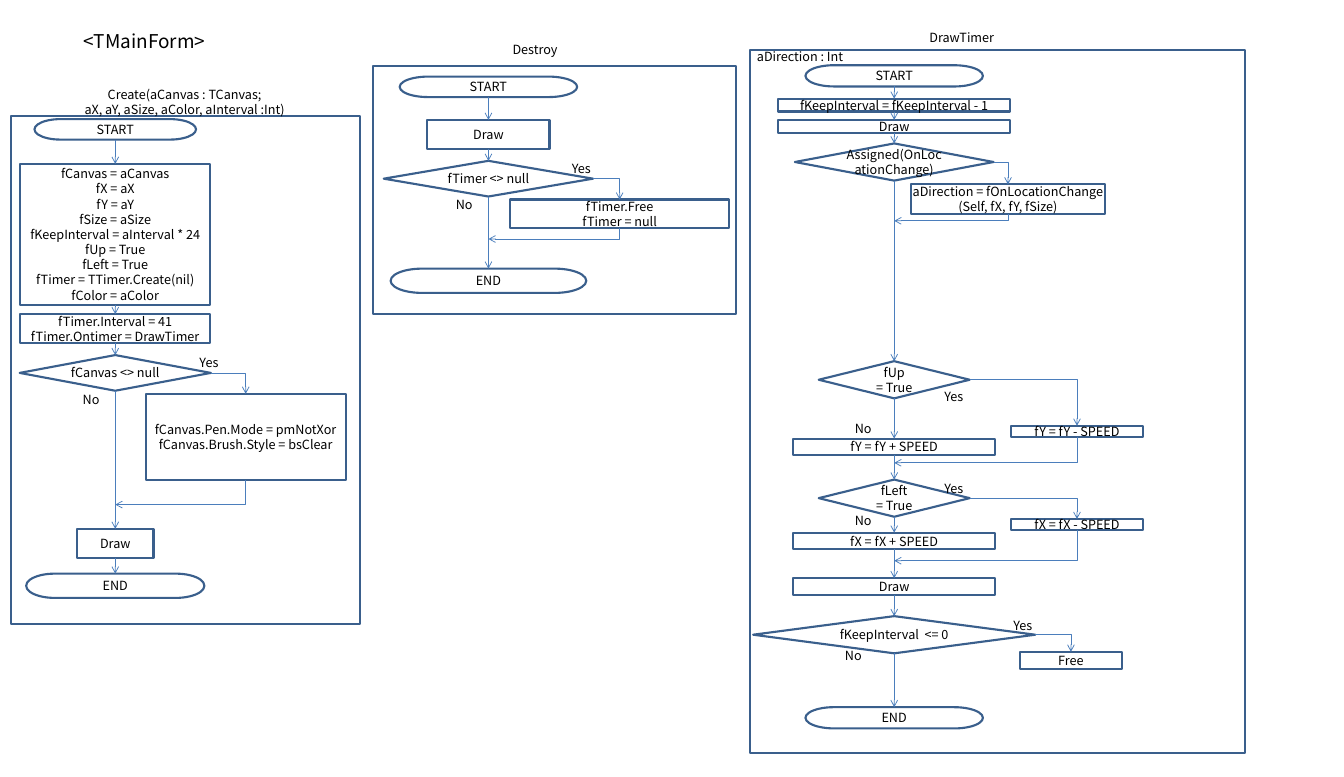
from dataclasses import dataclass
from itertools import pairwise

from lxml import etree
from pptx import Presentation
from pptx.dml.color import RGBColor
from pptx.enum.shapes import MSO_CONNECTOR, MSO_SHAPE
from pptx.enum.text import MSO_ANCHOR, PP_ALIGN
from pptx.oxml.ns import qn
from pptx.util import Inches, Pt

STRAIGHT, ELBOW = MSO_CONNECTOR.STRAIGHT, MSO_CONNECTOR.ELBOW
PROCESS = MSO_SHAPE.RECTANGLE
TERMINATOR = MSO_SHAPE.FLOWCHART_TERMINATOR
DECISION = MSO_SHAPE.FLOWCHART_DECISION
MIDDLE, TOP_ANCHOR = MSO_ANCHOR.MIDDLE, MSO_ANCHOR.TOP
CENTER, LEFT_ALIGN = PP_ALIGN.CENTER, PP_ALIGN.LEFT
TOP, BOTTOM, RIGHT = 0, 2, 3

FONT = "Noto Sans CJK KR"
OUTLINE, ARROW, INK = "3A5F8C", "4B7EBC", "000000"


def color(hex_string):
    return RGBColor.from_string(hex_string)


def write(shape, text, size=12, align=CENTER, anchor=MIDDLE):
    """Write each line of text as its own paragraph."""
    frame = shape.text_frame
    frame.word_wrap = True
    frame.vertical_anchor = anchor
    frame.margin_left = frame.margin_right = 0
    frame.margin_top = frame.margin_bottom = 0
    for index, line in enumerate(text.split("\n")):
        paragraph = frame.add_paragraph() if index else frame.paragraphs[0]
        paragraph.alignment = align
        run = paragraph.add_run()
        run.text = line
        run.font.name = FONT
        run.font.size = Pt(size)
        run.font.color.rgb = color(INK)


def add_text(slide, text, left, top, width, height, **style):
    box = slide.shapes.add_textbox(Inches(left), Inches(top), Inches(width), Inches(height))
    write(box, text, **style)


def add_outline(slide, kind, left, top, width, height):
    shape = slide.shapes.add_shape(kind, Inches(left), Inches(top), Inches(width), Inches(height))
    shape.shadow.inherit = False
    shape.fill.background()
    shape.line.color.rgb = color(OUTLINE)
    shape.line.width = Pt(2)
    return shape


def style_arrow(connector):
    connector.line.color.rgb = color(ARROW)
    connector.line.width = Pt(0.75)
    properties = connector.element.spPr
    etree.SubElement(properties.find(qn("a:ln")), qn("a:tailEnd"), type="arrow")
    etree.SubElement(properties, qn("a:effectLst"))


def add_elbow(slide):
    """Add an arrow with a single corner; its ends are set afterwards."""
    connector = slide.shapes.add_connector(ELBOW, 0, 0, 0, 0)
    connector.element.spPr.find(qn("a:prstGeom")).set("prst", "bentConnector2")
    style_arrow(connector)
    return connector


@dataclass
class Panel:
    """A framed flowchart; positions inside it count from its top left corner."""
    slide: object
    left: float
    top: float
    width: float
    height: float
    axis: float

    def draw_frame(self):
        add_outline(self.slide, PROCESS, self.left, self.top, self.width, self.height)

    def node(self, kind, text, top, width, height, center=None):
        center = self.axis if center is None else center
        shape = add_outline(self.slide, kind, self.left + center - width / 2,
                            self.top + top, width, height)
        write(shape, text)
        return shape

    def label(self, text, left, top, width=0.34, height=0.2):
        add_text(self.slide, text, self.left + left, self.top + top, width, height,
                 align=LEFT_ALIGN, anchor=TOP_ANCHOR)

    def chain(self, nodes):
        for upper, lower in pairwise(nodes):
            connector = self.slide.shapes.add_connector(STRAIGHT, 0, 0, 0, 0)
            connector.begin_connect(upper, BOTTOM)
            connector.end_connect(lower, TOP)
            style_arrow(connector)

    def branch(self, decision, step):
        connector = add_elbow(self.slide)
        connector.begin_connect(decision, RIGHT)
        connector.end_connect(step, TOP)

    def merge(self, step, level):
        """Lead from the bottom of a step down and left to the axis."""
        connector = add_elbow(self.slide)
        connector.begin_connect(step, BOTTOM)
        start_x, start_y = step.left + step.width // 2, step.top + step.height
        end_x, end_y = Inches(self.left + self.axis), Inches(self.top + level)
        across, down = start_x - end_x, end_y - start_y
        frame = connector.element.spPr.find(qn("a:xfrm"))
        for flip in ("flipH", "flipV"):
            frame.attrib.pop(flip, None)
        frame.set("rot", "5400000")
        connector.left = (start_x + end_x - down) // 2
        connector.top = (start_y + end_y - across) // 2
        connector.width, connector.height = down, across


def draw_create(slide, left, top):
    panel = Panel(slide, left, top, 4.6, 6.7, axis=1.37)
    panel.draw_frame()
    add_text(slide, "Create(aCanvas : TCanvas;\naX, aY, aSize, aColor, aInterval :Int)",
             left - 0.03, top - 0.37, 4.63, 0.37)
    start = panel.node(TERMINATOR, "START", 0.04, 2.13, 0.27)
    fields = panel.node(
        PROCESS,
        "fCanvas = aCanvas\nfX = aX\nfY = aY\nfSize = aSize\n"
        "fKeepInterval = aInterval * 24\nfUp = True\nfLeft = True\n"
        "fTimer = TTimer.Create(nil)\nfColor = aColor", 0.63, 2.51, 1.86)
    timer = panel.node(PROCESS, "fTimer.Interval = 41\nfTimer.Ontimer = DrawTimer",
                       2.61, 2.51, 0.38)
    has_canvas = panel.node(DECISION, "fCanvas <> null", 3.15, 2.52, 0.47)
    pen = panel.node(PROCESS, "fCanvas.Pen.Mode = pmNotXor\nfCanvas.Brush.Style = bsClear",
                     3.66, 2.64, 1.14, center=3.09)
    draw = panel.node(PROCESS, "Draw", 5.44, 1.01, 0.38)
    end = panel.node(TERMINATOR, "END", 6.03, 2.35, 0.32)
    panel.chain([start, fields, timer, has_canvas, draw, end])
    panel.branch(has_canvas, pen)
    panel.merge(pen, 5.12)
    panel.label("Yes", 2.48, 3.15)
    panel.label("No", 0.94, 3.63)


def draw_destroy(slide, left, top):
    panel = Panel(slide, left, top, 4.78, 3.27, axis=1.52)
    panel.draw_frame()
    add_text(slide, "Destroy", left + 1.31, top - 0.4, 1.65, 0.37)
    start = panel.node(TERMINATOR, "START", 0.14, 2.34, 0.27)
    draw = panel.node(PROCESS, "Draw", 0.71, 1.61, 0.38)
    has_timer = panel.node(DECISION, "fTimer <> null", 1.25, 2.76, 0.47)
    free = panel.node(PROCESS, "fTimer.Free\nfTimer = null", 1.76, 2.89, 0.38, center=3.25)
    end = panel.node(TERMINATOR, "END", 2.67, 2.58, 0.32)
    panel.chain([start, draw, has_timer, end])
    panel.branch(has_timer, free)
    panel.merge(free, 2.28)
    panel.label("Yes", 2.62, 1.25)
    panel.label("No", 1.09, 1.72)


def draw_timer(slide, left, top):
    panel = Panel(slide, left, top, 6.53, 9.26, axis=1.9)
    panel.draw_frame()
    add_text(slide, "DrawTimer", left, top - 0.34, 5.58, 0.35)
    panel.label("aDirection : Int", 0.09, -0.02, width=1.25)
    start = panel.node(TERMINATOR, "START", 0.2, 2.34, 0.28)
    count = panel.node(PROCESS, "fKeepInterval = fKeepInterval - 1", 0.64, 3.06, 0.17)
    first_draw = panel.node(PROCESS, "Draw", 0.92, 3.06, 0.17)
    assigned = panel.node(DECISION, "Assigned(OnLocationChange)", 1.23, 2.62, 0.49)
    notify = panel.node(PROCESS, "aDirection = fOnLocationChange\n(Self, fX, fY, fSize)",
                        1.77, 2.55, 0.39, center=3.4)
    panel.branch(assigned, notify)
    panel.merge(notify, 2.25)

    steps = [start, count, first_draw, assigned]
    moves = [("fUp", "fY", 4.1, 4.95, 5.12, 5.44, 4.47, 4.89),
             ("fLeft", "fX", 5.66, 6.18, 6.36, 6.73, 5.68, 6.1)]
    for flag, field, test_top, minus_top, plus_top, merge_level, yes_top, no_top in moves:
        test = panel.node(DECISION, f"{flag}\n= True", test_top, 1.99, 0.49)
        minus = panel.node(PROCESS, f"{field} = {field} - SPEED", minus_top, 1.75, 0.15,
                           center=4.31)
        plus = panel.node(PROCESS, f"{field} = {field} + SPEED", plus_top, 2.66, 0.22)
        panel.branch(test, minus)
        panel.merge(minus, merge_level)
        panel.label("Yes", 2.56, yes_top)
        panel.label("No", 1.38, no_top)
        steps += [test, plus]

    last_draw = panel.node(PROCESS, "Draw", 6.96, 2.66, 0.22)
    expired = panel.node(DECISION, "fKeepInterval  <= 0", 7.46, 3.72, 0.49)
    free = panel.node(PROCESS, "Free", 7.93, 1.34, 0.23, center=4.23)
    end = panel.node(TERMINATOR, "END", 8.66, 2.34, 0.28)
    panel.chain(steps + [last_draw, expired, end])
    panel.branch(expired, free)
    panel.label("Yes", 3.47, 7.48)
    panel.label("No", 1.25, 7.88)


def main():
    presentation = Presentation()
    presentation.slide_width = Inches(17.72)
    presentation.slide_height = Inches(10.24)
    slide = presentation.slides.add_slide(presentation.slide_layouts[6])
    add_text(slide, "<TMainForm>", 1.1, 0.39, 1.8, 0.3,
             size=18, align=LEFT_ALIGN, anchor=TOP_ANCHOR)
    draw_create(slide, 0.15, 1.53)
    draw_destroy(slide, 4.92, 0.87)
    draw_timer(slide, 9.89, 0.66)
    presentation.save("out.pptx")


if __name__ == "__main__":
    main()
